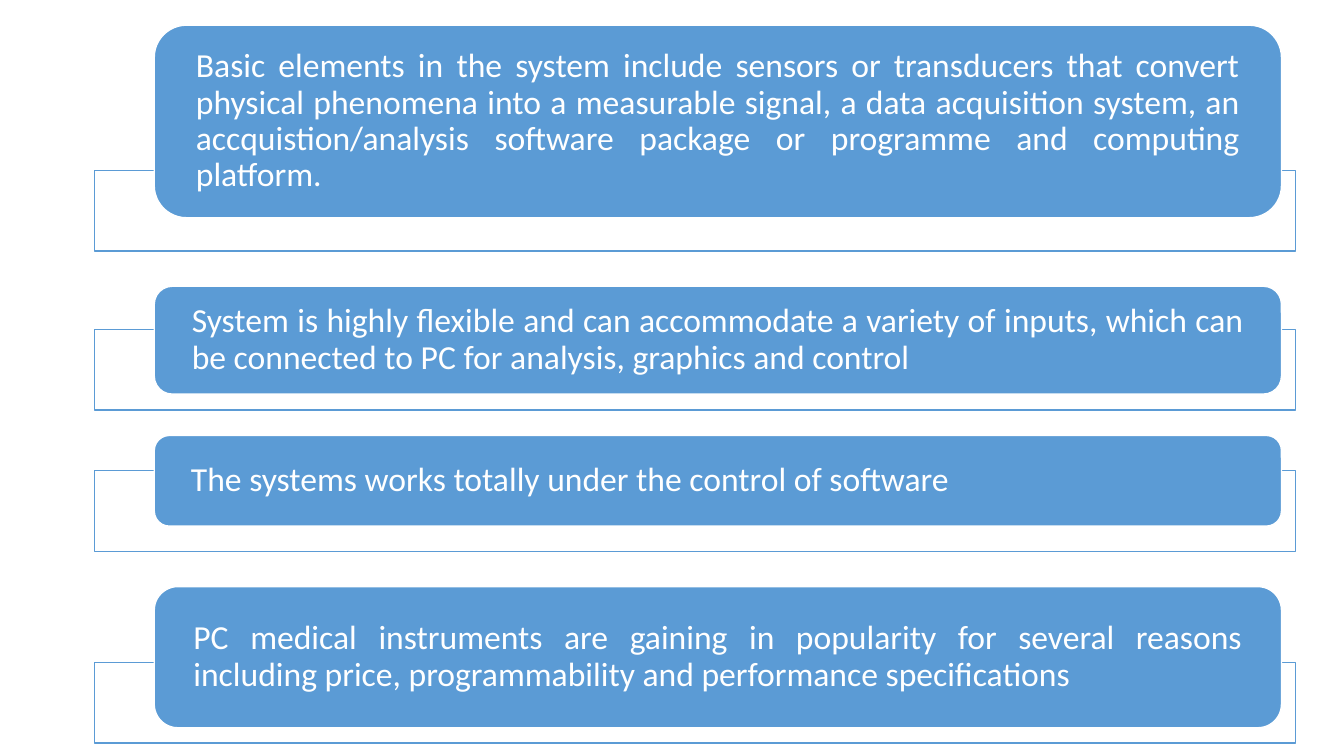
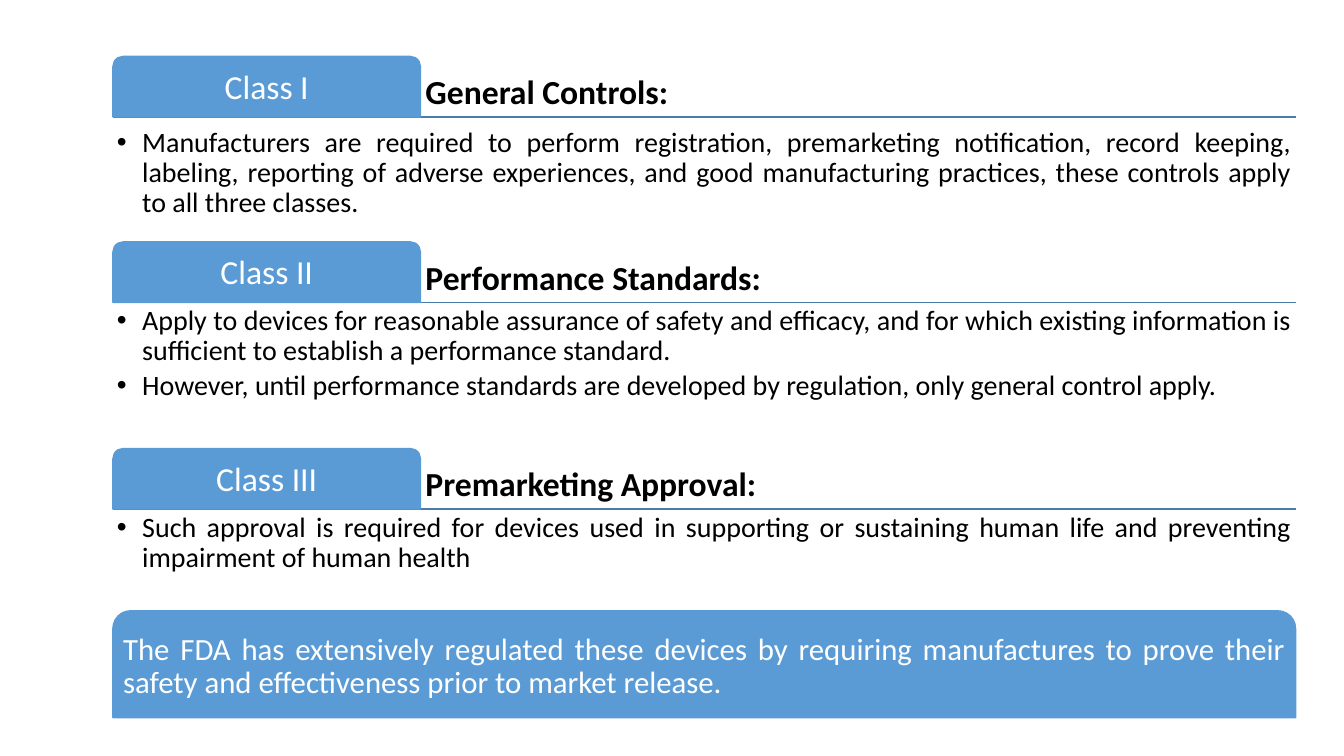
from pptx import Presentation
from pptx.dml.color import RGBColor
from pptx.enum.shapes import MSO_CONNECTOR, MSO_SHAPE
from pptx.enum.text import MSO_ANCHOR as ANCHOR, PP_ALIGN as ALIGN
from pptx.oxml.ns import qn
from pptx.util import Pt
from lxml import etree

PX = 9144  # 100 px to the inch
FONT = "Calibri"
BLUE, RULE, WHITE, BLACK = "5B9BD5", "497CAB", "FFFFFF", "000000"

STATEMENTS = [  # frame top, card top, card height, text
    (169, 25, 191, "Basic elements in the system include sensors or transducers that convert "
     "physical phenomena into a measurable signal, a data acquisition system, an "
     "accquistion/analysis software package or programme and computing platform."),
    (327, 284, 107, "System is highly flexible and can accommodate a variety of inputs, "
     "which can be connected to PC for analysis, graphics and control"),
    (467, 432, 90, "The systems works totally under the control of software"),
    (657, 582, 140, "PC medical instruments are gaining in popularity for several reasons "
     "including price, programmability and performance specifications"),
]

CLASSES = [  # tab top, bullets top, bullets height, class, control, bullets
    (56, 123, 121, "Class I", "General Controls:", [
        "Manufacturers are required to perform registration, premarketing notification, "
        "record keeping, labeling, reporting of adverse experiences, and good manufacturing "
        "practices, these controls apply to all three classes."]),
    (240, 300, 142, "Class II", "Performance Standards:", [
        "Apply to devices for reasonable assurance of safety and efficacy, and for which "
        "existing information is sufficient to establish a performance standard.",
        "However, until performance standards are developed by regulation, only general "
        "control apply."]),
    (445, 505, 98, "Class III", "Premarketing Approval:", [
        "Such approval is required for devices used in supporting or sustaining human life "
        "and preventing impairment of human health"]),
]

CONCLUSION = ("The FDA has extensively regulated these devices by requiring manufactures to "
              "prove their safety and effectiveness prior to market release.")


def px(*lengths):
    return [length * PX for length in lengths]


def rgb(color):
    return RGBColor.from_string(color)


def add_bullet(paragraph):
    props = paragraph._p.get_or_add_pPr()
    props.set("marL", str(25 * PX))
    props.set("indent", str(-25 * PX))
    etree.SubElement(props, qn("a:buFont")).set("typeface", "Arial")
    etree.SubElement(props, qn("a:buChar")).set("char", "•")


def write(shape, texts, size, color, align, anchor, inset, bold=False, bulleted=False):
    """Fill a shape with paragraphs; inset is (sides, top and bottom)."""
    frame = shape.text_frame
    frame.word_wrap = True
    frame.vertical_anchor = anchor
    frame.margin_left = frame.margin_right = inset[0] * PX
    frame.margin_top = frame.margin_bottom = inset[1] * PX
    for i, text in enumerate(texts):
        paragraph = frame.add_paragraph() if i else frame.paragraphs[0]
        paragraph.text = text
        paragraph.alignment = align
        paragraph.line_spacing = 0.9
        paragraph.space_after = Pt(3)
        if bulleted:
            add_bullet(paragraph)
        font = paragraph.font
        font.name, font.size, font.bold = FONT, Pt(size), bold
        font.color.rgb = rgb(color)


def add_box(slide, preset, box, fill, line):
    shape = slide.shapes.add_shape(preset, *px(*box))
    shape.shadow.inherit = False
    shape.fill.solid()
    shape.fill.fore_color.rgb = rgb(fill)
    shape.line.color.rgb = rgb(line)
    shape.line.width = Pt(1)
    return shape


def add_tab(slide, box, text, size, align):
    tab = add_box(slide, MSO_SHAPE.ROUND_2_SAME_RECTANGLE, box, BLUE, BLUE)
    write(tab, [text], size, WHITE, align, ANCHOR.MIDDLE, (5, 5))


def add_rule(slide, left, right, y):
    rule = slide.shapes.add_connector(MSO_CONNECTOR.STRAIGHT, *px(left, y, right, y))
    rule.line.color.rgb = rgb(RULE)
    rule.line.width = Pt(1)
    etree.SubElement(rule._element.spPr, qn("a:effectLst"))


def add_statement(slide, frame_top, card_top, card_height, text):
    add_box(slide, MSO_SHAPE.RECTANGLE, (94, frame_top, 1191, 80), WHITE, BLUE)
    card = add_box(slide, MSO_SHAPE.ROUNDED_RECTANGLE,
                   (153, card_top, 1118, card_height), BLUE, WHITE)
    write(card, [text], 24, WHITE, ALIGN.JUSTIFY, ANCHOR.MIDDLE, (32, 0))


def add_class(slide, top, bullets_top, bullets_height, name, control, bullets):
    left, right, tab_width, tab_height = 112, 1285, 305, 60
    control_left = left + tab_width
    add_rule(slide, left, right, top + tab_height)
    heading = slide.shapes.add_textbox(*px(control_left, top, right - control_left, tab_height))
    write(heading, [control], 24, BLACK, ALIGN.LEFT, ANCHOR.BOTTOM, (5, 5), bold=True)
    add_tab(slide, (left, top, tab_width, tab_height), name, 24, ALIGN.CENTER)
    details = slide.shapes.add_textbox(*px(left, bullets_top, right - left, bullets_height))
    write(details, bullets, 20, BLACK, ALIGN.JUSTIFY, ANCHOR.TOP, (4, 4), bulleted=True)


def main():
    prs = Presentation()
    prs.slide_width, prs.slide_height = px(1333, 750)
    blank = prs.slide_layouts[6]

    # Statements about PC based systems
    system_slide = prs.slides.add_slide(blank)
    for statement in STATEMENTS:
        add_statement(system_slide, *statement)

    # Device classes and the conclusion
    class_slide = prs.slides.add_slide(blank)
    for device_class in CLASSES:
        add_class(class_slide, *device_class)
    add_tab(class_slide, (112, 606, 1173, 106), CONCLUSION, 22, ALIGN.JUSTIFY)

    prs.save("out.pptx")


if __name__ == "__main__":
    main()
